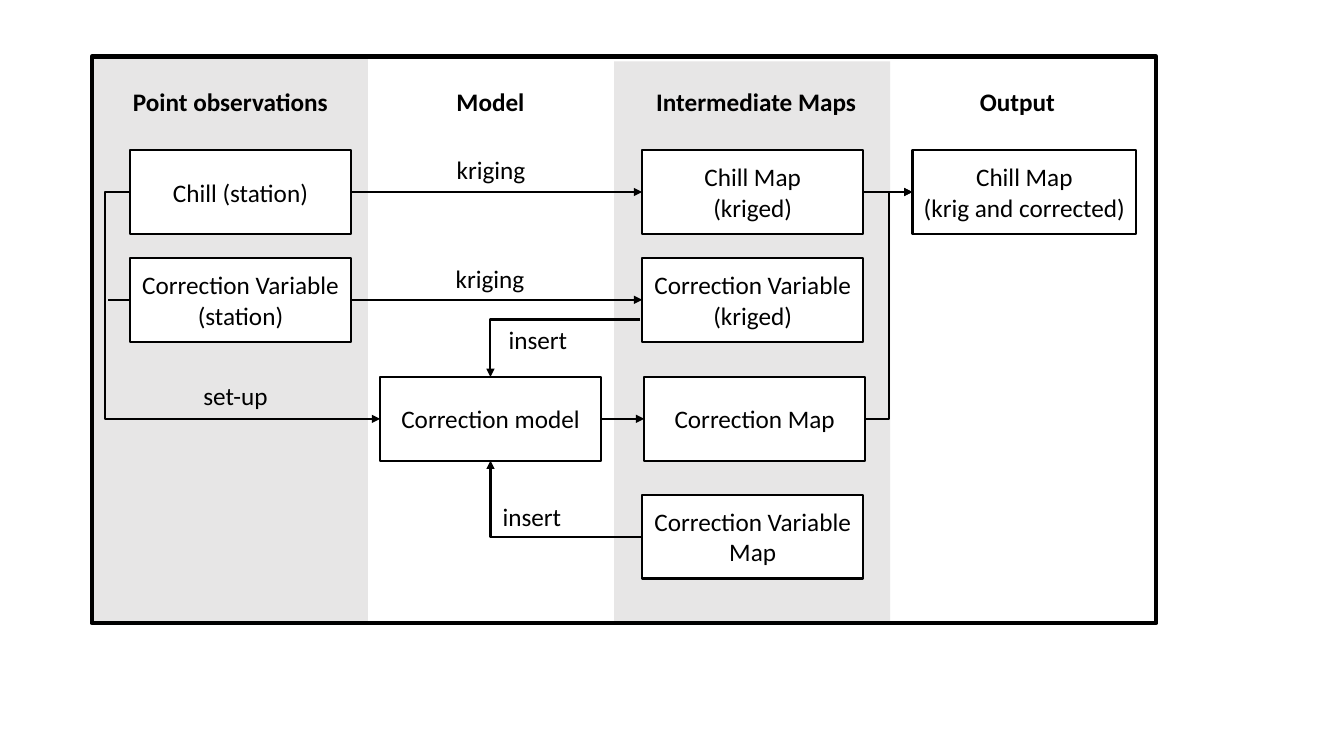
from lxml import etree
from pptx import Presentation
from pptx.dml.color import RGBColor
from pptx.enum.shapes import MSO_CONNECTOR, MSO_SHAPE
from pptx.enum.text import MSO_ANCHOR, PP_ALIGN
from pptx.oxml.ns import qn
from pptx.util import Inches, Pt

RECT = MSO_SHAPE.RECTANGLE
LINE = MSO_CONNECTOR.STRAIGHT
ELBOW = MSO_CONNECTOR.ELBOW
MIDDLE = MSO_ANCHOR.MIDDLE
TOP = MSO_ANCHOR.TOP
CENTER = PP_ALIGN.CENTER
BLACK = RGBColor(0x00, 0x00, 0x00)
WHITE = RGBColor(0xFF, 0xFF, 0xFF)
GRAY = RGBColor(0xE7, 0xE6, 0xE6)

PLAIN = {"name": "Calibri", "size": Pt(18), "bold": False}
STRONG = {**PLAIN, "bold": True}

PANEL = (0.91, 0.56, 10.56, 5.62)
BANDS = [
    (5.18, 0.05, 2.74, 5.56, GRAY),
    (2.74, 0, 2.43, 5.61, WHITE),
    (0, 0, 2.74, 5.62, GRAY),
]
HEADS = [
    ("Point observations", 0, 2.75),
    ("Model", 2.75, 2.41),
    ("Intermediate Maps", 5.29, 2.6),
    ("Output", 7.88, 2.6),
]
WIDE, TALL = 2.19, 0.83
ROWS = (0.93, 2, 3.18, 4.35)
NODES = {
    "chill": ("Chill (station)", 0.38, 0, WIDE),
    "station": ("Correction Variable (station)", 0.38, 1, WIDE),
    "model": ("Correction model", 2.86, 2, WIDE),
    "kriged": ("Chill Map\n(kriged)", 5.46, 0, WIDE),
    "field": ("Correction Variable (kriged)", 5.46, 1, WIDE),
    "map": ("Correction Map", 5.48, 2, WIDE),
    "cover": ("Correction Variable Map", 5.46, 3, WIDE),
    "output": ("Chill Map\n(krig and corrected)", 8.14, 0, 2.22),
}
LINKS = [
    ("chill", "kriged"),
    ("station", "field"),
    ("model", "map"),
    ("kriged", "output"),
]
LABELS = [
    ("kriging", 2.74, 0.92, 2.44),
    ("kriging", 2.74, 2, 2.42),
    ("set-up", 0.62, 3.16, 1.61),
    ("insert", 3.56, 4.36, 1.61),
    ("insert", 3.62, 2.61, 1.61),
]


def adorn(item, style):
    for key, value in style.items():
        setattr(item, key, value)


def write(shape, text, font, anchor):
    frame = shape.text_frame
    adorn(frame, {"text": text, "word_wrap": True, "vertical_anchor": anchor})
    for para in frame.paragraphs:
        para.alignment = CENTER
        adorn(para.font, font)
        para.font.color.rgb = BLACK


def block(slide, box, fill=None, width=None):
    shape = slide.shapes.add_shape(RECT, *map(Inches, box))
    shape.shadow.inherit = False
    if fill is None:
        shape.fill.background()
    else:
        shape.fill.solid()
        shape.fill.fore_color.rgb = fill
    if width is None:
        shape.line.fill.background()
    else:
        shape.line.color.rgb = BLACK
        shape.line.width = Pt(width)
    return shape


def label(slide, text, box, font=PLAIN):
    shape = slide.shapes.add_textbox(*map(Inches, box))
    write(shape, text, font, TOP)


def wire(slide, start, end, kind=LINE, arrow=True):
    line = slide.shapes.add_connector(kind, *start, *end)
    line.line.color.rgb = BLACK
    line.line.width = Pt(1.5)
    if arrow:
        pen = line.line._get_or_add_ln()
        etree.SubElement(pen, qn("a:tailEnd"), type="triangle")
    etree.SubElement(line._element.spPr, qn("a:effectLst"))
    return line


def bend(slide, start, end, ratio=None):
    line = wire(slide, start, end, ELBOW)
    geom = line._element.spPr.find(qn("a:prstGeom"))
    if ratio is None:
        geom.set("prst", "bentConnector2")
    else:
        guides = geom.find(qn("a:avLst"))
        value = f"val {round(ratio * 100000)}"
        etree.SubElement(guides, qn("a:gd"), name="adj1", fmla=value)


def side(shape, index):
    across = (0.5, 0, 0.5, 1)[index]
    down = (0, 0.5, 1, 0.5)[index]
    return (round(shape.left + across * shape.width),
            round(shape.top + down * shape.height))


def columns(slide, box):
    left, top = box[:2]
    for x, y, width, height, fill in BANDS:
        block(slide, (left + x, top + y, width, height), fill)
    for text, x, width in HEADS:
        label(slide, text, (left + x, top + 0.25, width, 0.4), STRONG)


def flow(slide, box):
    left, top = box[:2]
    nodes = {}
    for name, (text, x, row, width) in NODES.items():
        place = (left + x, top + ROWS[row], width, TALL)
        nodes[name] = block(slide, place, WHITE, 1.5)
        write(nodes[name], text, PLAIN, MIDDLE)
    for first, last in LINKS:
        line = wire(slide, side(nodes[first], 3), side(nodes[last], 1))
        line.begin_connect(nodes[first], 3)
        line.end_connect(nodes[last], 1)
    stub = side(nodes["station"], 1)
    line = wire(slide, stub, (Inches(left + 0.16), stub[1]), arrow=False)
    line.begin_connect(nodes["station"], 1)
    model = nodes["model"]
    bend(slide, side(nodes["chill"], 1), side(model, 1), -0.1)
    bend(slide, (Inches(left + 5.44), Inches(top + 2.61)), side(model, 0))
    bend(slide, side(nodes["cover"], 1), side(model, 2))
    bend(slide, side(nodes["map"], 3), side(nodes["output"], 1), 0.5)
    for text, x, y, width in LABELS:
        label(slide, text, (left + x, top + y, width, 0.4))


def main():
    deck = Presentation()
    adorn(deck, {"slide_width": Inches(13.33), "slide_height": Inches(7.5)})
    slide = deck.slides.add_slide(deck.slide_layouts[6])
    columns(slide, PANEL)
    flow(slide, PANEL)
    block(slide, PANEL, width=3)
    deck.save("out.pptx")


if __name__ == "__main__":
    main()
